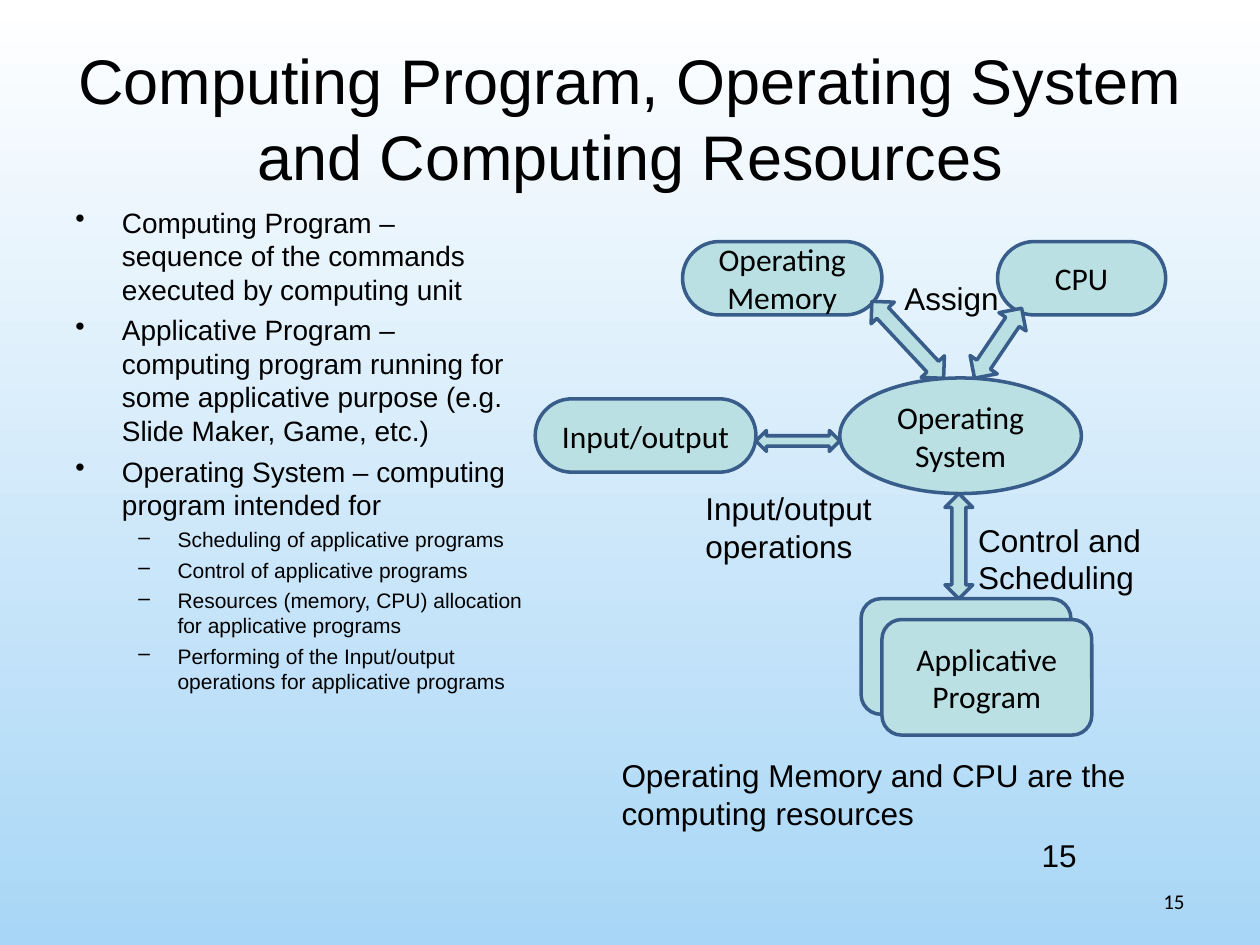
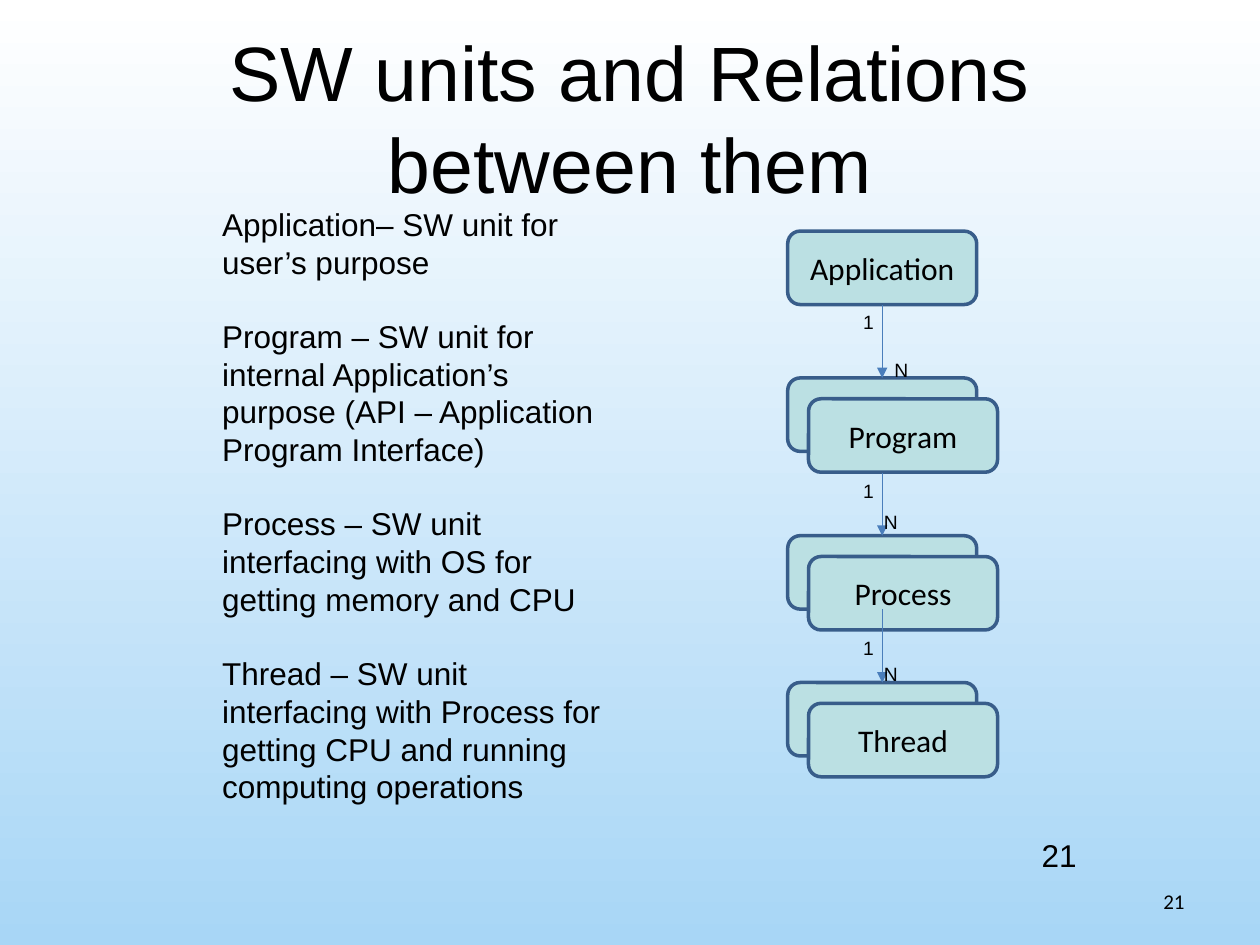
import pptx
import pptx.util
import pptx.dml.color
import pptx.enum.shapes
import pptx.enum.text
import pptx.oxml.ns
import lxml.etree

Cm, Pt = pptx.util.Cm, pptx.util.Pt
KIND = pptx.enum.shapes.MSO_SHAPE
ALIGN = pptx.enum.text.PP_ALIGN
ANCHOR = pptx.enum.text.MSO_ANCHOR

COLORS = {"top": "FFFFFF", "base": "A8D6F6", "fill": "BBE0E3",
          "edge": "385D8A", "link": "4A7EBB", "ink": "000000"}

# Bullet levels: mark, left margin (cm), hang (cm), size, space before
LEVELS = [("•", 0.94, 0.94, 16, 4), ("–", 2.06, 0.79, 12, 3)]
SHIFT = 0.42  # offset of the front card in a stack


def color(name):
    return pptx.dml.color.RGBColor.from_string(COLORS[name])


def child(parent, tag, **attrs):
    return lxml.etree.SubElement(parent, pptx.oxml.ns.qn(tag), **attrs)


def spot(*sizes):
    return [Cm(size) for size in sizes]


# Text
def fill_text(frame, lines, size=18, font="Arial", align=ALIGN.LEFT,
              anchor=ANCHOR.TOP, gap=0, levels=None):
    frame.word_wrap = True
    frame.vertical_anchor = anchor
    for i, line in enumerate(lines):
        para = frame.paragraphs[0] if i == 0 else frame.add_paragraph()
        para.alignment = align
        if levels:
            para.level = levels[i]
            size, gap = set_bullet(para, levels[i])
        if i and gap:
            para.space_before = Pt(gap)
        run = para.add_run()
        run.text = line
        run.font.size = Pt(size)
        run.font.name = font
        run.font.color.rgb = color("ink")


def set_bullet(para, level):
    mark, left, hang, size, gap = LEVELS[level]
    props = para._p.get_or_add_pPr()
    props.set("marL", str(Cm(left)))
    props.set("indent", str(-Cm(hang)))
    child(props, "a:buChar", char=mark)
    return size, gap


def add_text(slide, place, *lines, **style):
    box = slide.shapes.add_textbox(*spot(*place))
    fill_text(box.text_frame, lines, **style)


# Shapes
def add_node(slide, kind, place, *lines, round=None, turn=0):
    node = slide.shapes.add_shape(kind, *spot(*place))
    node.shadow.inherit = False
    node.fill.solid()
    node.fill.fore_color.rgb = color("fill")
    node.line.color.rgb = color("edge")
    node.line.width = Pt(2)
    node.rotation = turn
    if round is not None:
        node.adjustments[0] = round
    fill_text(node.text_frame, lines, font="Calibri",
              align=ALIGN.CENTER, anchor=ANCHOR.MIDDLE)


def add_card(slide, place, *lines):
    add_node(slide, KIND.ROUNDED_RECTANGLE, place, *lines, round=0.17)


def add_pill(slide, place, *lines):
    add_node(slide, KIND.ROUNDED_RECTANGLE, place, *lines, round=0.5)


def add_front(slide, place, label):
    left, top, width, height = place
    add_card(slide, (left + SHIFT, top + SHIFT, width, height), label)


def add_link(slide, x, start, end):
    link = slide.shapes.add_connector(
        pptx.enum.shapes.MSO_CONNECTOR.STRAIGHT, *spot(x, start, x, end))
    link.line.color.rgb = color("link")
    link.line.width = Pt(0.75)
    child(link.line._get_or_add_ln(), "a:tailEnd", type="triangle")
    child(link._element.spPr, "a:effectLst")


# Shared slide frame
def add_page(deck, title, place, size, number):
    slide = deck.slides.add_slide(deck.slide_layouts[6])
    fill = slide.background.fill
    fill.gradient()
    fill.gradient_angle = 270
    for stop, name in zip(fill.gradient_stops, ("top", "base")):
        stop.color.rgb = color(name)
    add_text(slide, place, title, size=size,
             align=ALIGN.CENTER, anchor=ANCHOR.MIDDLE)
    add_text(slide, (18.21, 17.65, 5.92, 1.02), number, size=12,
             font="Calibri", align=ALIGN.RIGHT, anchor=ANCHOR.MIDDLE)
    add_text(slide, (20.75, 16.72, 4.2, 1.29), number)
    return slide


def draw_system(deck):
    slide = add_page(
        deck, "Computing Program, Operating System and Computing Resources",
        (1.27, 0.71, 22.86, 3.3), 36, "15")
    add_text(
        slide, (1.27, 4.01, 9.53, 12.57),
        "Computing Program – sequence of the commands executed by "
        "computing unit",
        "Applicative Program – computing program running for some "
        "applicative purpose (e.g. Slide Maker, Game, etc.)",
        "Operating System – computing program intended for",
        "Scheduling of applicative programs",
        "Control of applicative programs",
        "Resources (memory, CPU) allocation for applicative programs",
        "Performing of the Input/output operations for applicative programs",
        levels=[0, 0, 0, 1, 1, 1, 1])

    # System, program stack and resources
    add_node(slide, KIND.OVAL, (16.93, 7.62, 4.87, 2.33), "Operating System")
    stack = (17.36, 12.07, 4.23, 2.33)
    add_card(slide, stack)
    add_front(slide, stack, "Applicative Program")
    add_pill(slide, (13.76, 4.87, 4.02, 1.48), "Operating", "Memory")
    add_pill(slide, (20.11, 4.87, 3.39, 1.48), "CPU")
    add_pill(slide, (10.79, 8.04, 4.45, 1.48), "Input/output")

    # Arrows around the system
    for place, turn in (((19.05, 9.95, 0.56, 2.12), 0),
                        ((17.98, 5.79, 0.64, 2.12), 317),
                        ((19.79, 6.07, 0.66, 1.7), 34)):
        add_node(slide, KIND.UP_DOWN_ARROW, place, turn=turn)
    add_node(slide, KIND.LEFT_RIGHT_ARROW, (15.24, 8.68, 1.69, 0.42))

    # Labels
    for place, label in (
            ((19.47, 10.37, 5.5, 1.78), "Control and Scheduling"),
            ((17.98, 5.5, 2.54, 1.02), "Assign"),
            ((13.97, 9.74, 4.02, 1.78), "Input/output operations"),
            ((12.28, 15.11, 11.64, 1.78),
             "Operating Memory and CPU are the computing resources")):
        add_text(slide, place, label)


def draw_units(deck):
    slide = add_page(deck, "SW units and Relations between them",
                     (1.27, 0.36, 22.86, 3.99), 44, "21")
    add_text(
        slide, (4.23, 4.01, 8.47, 13.97),
        "Application– SW unit for user’s purpose",
        "Program – SW unit for internal Application’s purpose "
        "(API – Application Program Interface)",
        "Process – SW unit interfacing with OS for getting memory and CPU",
        "Thread – SW unit interfacing with Process for getting CPU and "
        "running computing operations",
        gap=20.7)

    # Chain of units: name, top, link start, place of "1" and of "N"
    left, width, height = 15.88, 3.81, 1.48
    add_card(slide, (left, 4.66, width, height), "Application")
    for name, top, start, one, many in (
            ("Program", 7.62, 6.14, (17.15, 6.14), (17.78, 7.09)),
            ("Process", 10.8, 9.53, (17.15, 9.53), (17.57, 10.16)),
            ("Thread", 13.76, 12.28, (17.15, 12.7), (17.57, 13.23))):
        place = (left, top, width, height)
        add_card(slide, place)
        add_link(slide, left + width / 2, start, top)
        add_front(slide, place, name)
        for corner, label in ((one, "1"), (many, "N")):
            add_text(slide, (*corner, 0.64, 0.74), label, size=11)


def main():
    deck = pptx.Presentation()
    deck.slide_width, deck.slide_height = spot(25.4, 19.05)
    draw_system(deck)
    draw_units(deck)
    deck.save("out.pptx")


if __name__ == "__main__":
    main()
